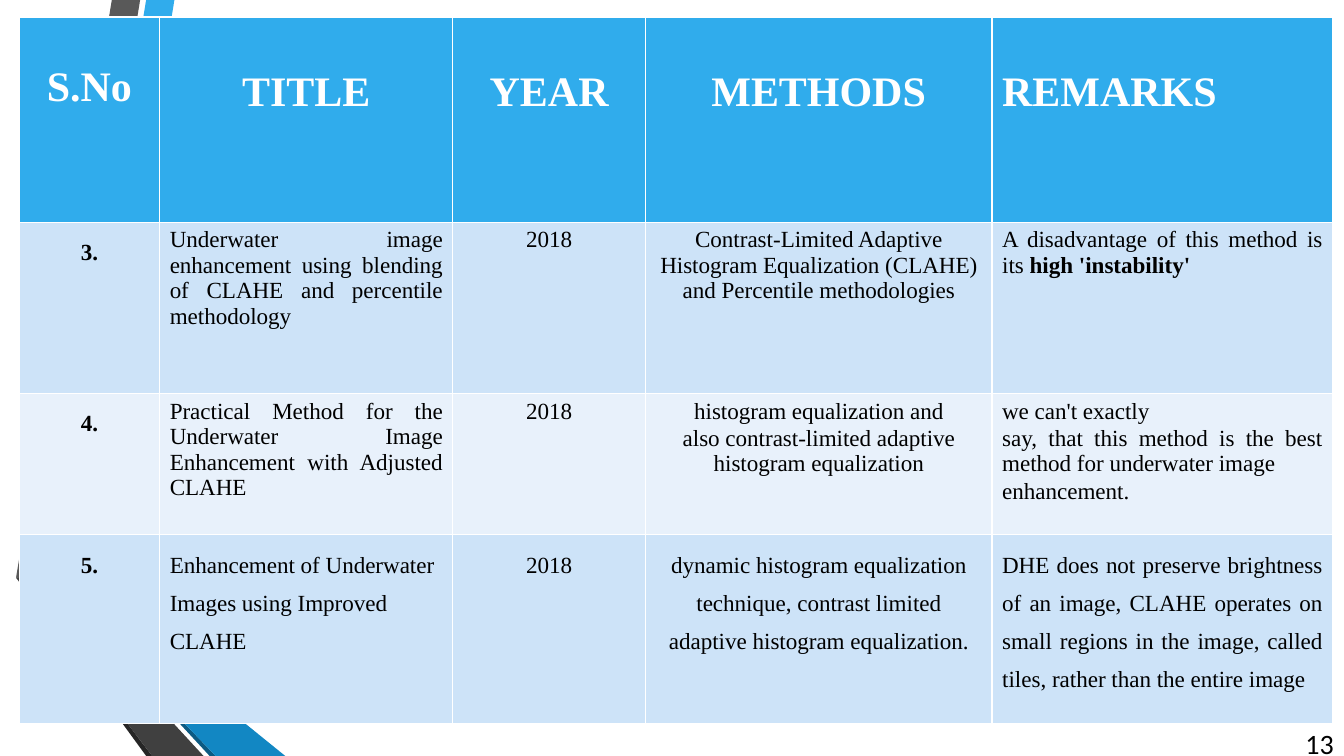
"""Build the literature survey slide: a table of CLAHE papers beside angled ribbons."""
from pptx import Presentation
from pptx.dml.color import RGBColor
from pptx.enum.text import MSO_ANCHOR, PP_ALIGN
from pptx.util import Pt

WHITE = RGBColor(0xFF, 0xFF, 0xFF)
BLACK = RGBColor(0x00, 0x00, 0x00)
SKY = RGBColor(0x30, 0xAC, 0xEC)
BLUE = RGBColor(0x12, 0x87, 0xC3)
NAVY = RGBColor(0x0C, 0x5A, 0x82)
GREY = RGBColor(0x59, 0x59, 0x59)
CHARCOAL = RGBColor(0x40, 0x40, 0x40)
SOOT = RGBColor(0x26, 0x26, 0x26)
BAND_DARK = RGBColor(0xCD, 0xE3, 0xF8)
BAND_LIGHT = RGBColor(0xE8, 0xF1, 0xFB)

HEADINGS = ["S.No", "TITLE", "YEAR", "METHODS", "REMARKS"]
PAPERS = [
    ["3.",
     "Underwater image enhancement using blending of CLAHE and percentile methodology",
     "2018",
     "Contrast-Limited Adaptive Histogram Equalization (CLAHE) and Percentile methodologies",
     [[("A disadvantage of this method is its ", False), ("high 'instability'", True)]]],
    ["4.",
     "Practical Method for the Underwater Image Enhancement with Adjusted CLAHE",
     "2018",
     ["histogram equalization and",
      "also contrast-limited adaptive histogram equalization"],
     ["we can't exactly",
      "say, that this method is the best method for underwater image",
      "enhancement."]],
    ["5.",
     "Enhancement of Underwater Images using Improved CLAHE",
     "2018",
     "dynamic histogram equalization technique, contrast limited adaptive "
     "histogram equalization.",
     "DHE does not preserve brightness of an image, CLAHE operates on small regions "
     "in the image, called tiles, rather than the entire image"],
]
SLIDE_NUMBER = "13"

RIBBONS = [
    (SKY, [(36, 416.2), (55.4, 419.8), (124.6, 0), (104.4, 0)]),
    (GREY, [(100.1, 0), (79.9, 0), (11.5, 412.6), (31.7, 415.4)]),
    (SOOT, [(11.5, 412.6), (104.4, 540), (108.7, 540)]),
    (NAVY, [(36, 416.9), (149.8, 540), (154.1, 540)]),
    (BLUE, [(36, 416.9), (154.1, 540), (203.8, 540), (55.4, 419.8), (36, 416.2)]),
    (CHARCOAL, [(145.4, 540), (34.6, 419.8), (31, 416.2), (31.7, 415.4),
                (11.5, 412.6), (108.7, 540)]),
]

TABLE_LEFT, TABLE_TOP = 13.7, 12.2
COLUMN_WIDTHS = [100.4, 209.4, 137.6, 247.6, 243.2]
ROW_HEIGHTS = [146.6, 122.4, 100.8, 134.8]
ALIGNMENTS = [PP_ALIGN.CENTER, PP_ALIGN.JUSTIFY, PP_ALIGN.CENTER,
              PP_ALIGN.CENTER, PP_ALIGN.JUSTIFY]


def add_run(paragraph, wording, size, color, bold=False, font="Times New Roman"):
    run = paragraph.add_run()
    run.text = wording
    run.font.name = font
    run.font.size = Pt(size)
    run.font.bold = bold
    run.font.color.rgb = color


def add_ribbon(slide, color, corners):
    start, *others = [(Pt(x), Pt(y)) for x, y in corners]
    outline = slide.shapes.build_freeform(*start, scale=1.0)
    outline.add_line_segments(others, close=True)
    ribbon = outline.convert_to_shape()
    ribbon.shadow.inherit = False
    ribbon.fill.solid()
    ribbon.fill.fore_color.rgb = color
    ribbon.line.fill.background()


def fill_cell(cell, content, fill, alignment, size, color, bold, spacing):
    cell.fill.solid()
    cell.fill.fore_color.rgb = fill
    lines = content if isinstance(content, list) else [content]
    for index, line in enumerate(lines):
        frame = cell.text_frame
        paragraph = frame.add_paragraph() if index else frame.paragraphs[0]
        paragraph.alignment = alignment
        if spacing:
            paragraph.line_spacing = spacing
        else:
            paragraph.space_before = Pt(1.2)
        for wording, strong in line if isinstance(line, list) else [(line, bold)]:
            add_run(paragraph, wording, size, color, strong)


def add_survey(slide):
    survey = slide.shapes.add_table(
        len(ROW_HEIGHTS), len(COLUMN_WIDTHS), Pt(TABLE_LEFT), Pt(TABLE_TOP),
        Pt(sum(COLUMN_WIDTHS)), Pt(sum(ROW_HEIGHTS))).table
    for column, width in zip(survey.columns, COLUMN_WIDTHS):
        column.width = Pt(width)
    for row, height in zip(survey.rows, ROW_HEIGHTS):
        row.height = Pt(height)

    for c, heading in enumerate(HEADINGS):
        alignment = PP_ALIGN.JUSTIFY if heading == "REMARKS" else PP_ALIGN.CENTER
        fill_cell(survey.cell(0, c), heading, SKY, alignment, 30, WHITE, True, 2.0)
    corner = survey.cell(0, 0)
    corner.margin_left = corner.margin_right = Pt(5)
    corner.margin_top = corner.margin_bottom = Pt(0)

    for r, paper in enumerate(PAPERS, start=1):
        band = BAND_DARK if r % 2 else BAND_LIGHT
        airy = r == len(PAPERS)
        for c, content in enumerate(paper):
            is_number = c == 0
            alignment = PP_ALIGN.LEFT if airy and c == 1 else ALIGNMENTS[c]
            spacing = 1.5 if airy or is_number else None
            fill_cell(survey.cell(r, c), content, band, alignment, 16.5, BLACK,
                      is_number, spacing)


def add_slide_number(slide):
    frame = slide.shapes.add_textbox(Pt(916.6), Pt(516.2), Pt(43.2), Pt(28.8)).text_frame
    frame.word_wrap = True
    frame.vertical_anchor = MSO_ANCHOR.MIDDLE
    frame.paragraphs[0].alignment = PP_ALIGN.RIGHT
    add_run(frame.paragraphs[0], SLIDE_NUMBER, 20, BLACK, font="Calibri")


def main():
    deck = Presentation()
    deck.slide_width, deck.slide_height = Pt(960), Pt(540)
    slide = deck.slides.add_slide(deck.slide_layouts[6])
    for color, corners in RIBBONS:
        add_ribbon(slide, color, corners)
    add_slide_number(slide)
    add_survey(slide)
    deck.save("out.pptx")


if __name__ == "__main__":
    main()
